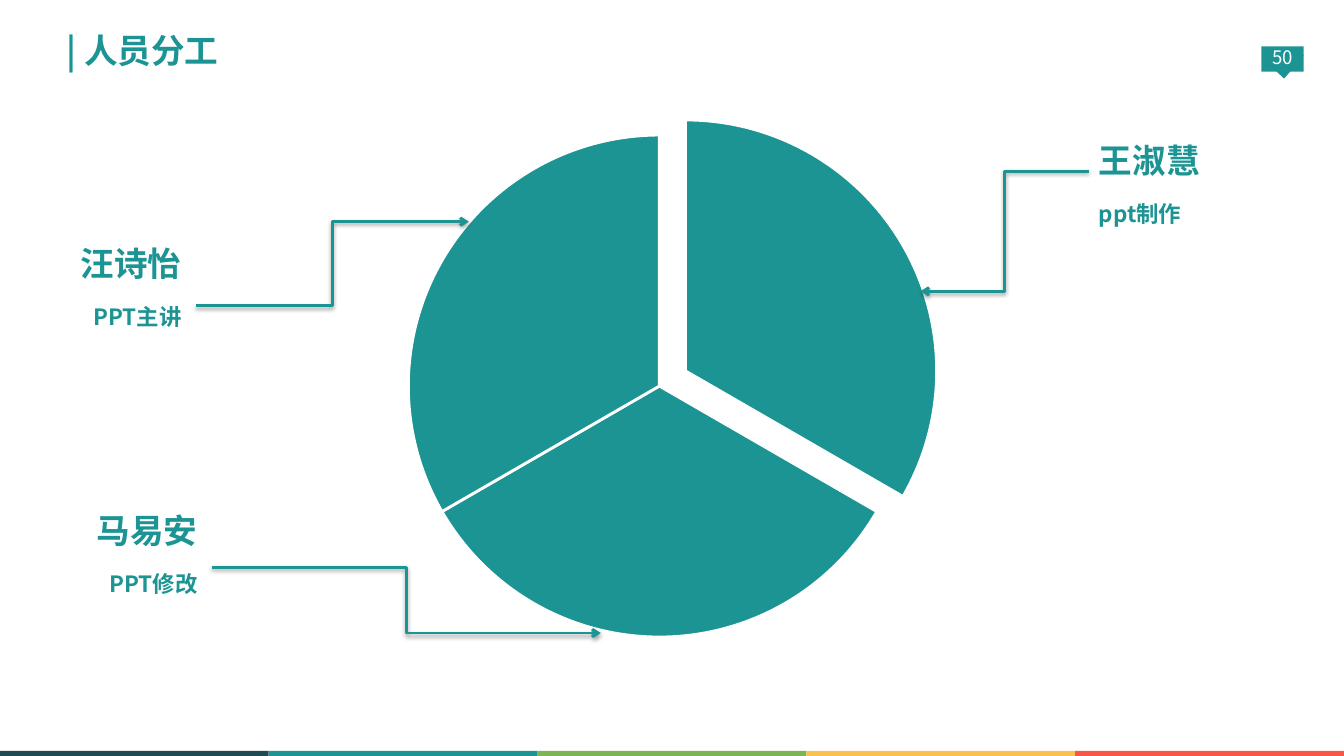
from lxml.etree import SubElement
from pptx import Presentation
from pptx.dml.color import RGBColor
from pptx.enum.shapes import MSO_CONNECTOR, MSO_SHAPE
from pptx.enum.text import MSO_ANCHOR, PP_ALIGN
from pptx.oxml.ns import qn
from pptx.util import Inches, Pt

FONT = "Noto Sans CJK SC"
TEAL = "1C9494"
WHITE = "FFFFFF"
STRIPES = ["1D4A53", TEAL, "7CB554", "FAC14D", "F95647"]


def color(fmt, value):
    fmt.rgb = RGBColor.from_string(value)


def add_block(slide, kind, box, fill, line=None):
    shape = slide.shapes.add_shape(kind, *map(Inches, box))
    shape.shadow.inherit = False
    shape.fill.solid()
    color(shape.fill.fore_color, fill)
    if line:
        color(shape.line.color, line)
        shape.line.width = Pt(2)
    else:
        shape.line.fill.background()
    return shape


def add_text(slide, box, lines, hue=TEAL, bold=True, align=PP_ALIGN.LEFT,
             anchor=MSO_ANCHOR.TOP, right=0.13, bottom=0, gap=0, spacing=0.9):
    """Add a text box; lines holds a (text, size) pair for each paragraph."""
    frame = slide.shapes.add_textbox(*map(Inches, box)).text_frame
    frame.word_wrap = True
    frame.vertical_anchor = anchor
    frame.margin_left = frame.margin_top = 0
    frame.margin_right = Inches(right)
    frame.margin_bottom = Inches(bottom)
    for index, (text, size) in enumerate(lines):
        para = frame.add_paragraph() if index else frame.paragraphs[0]
        para.alignment = align
        para.line_spacing = spacing
        if index:
            para.space_before = Pt(gap)
        run = para.add_run()
        run.text = text
        run.font.name = FONT
        run.font.size = Pt(size)
        run.font.bold = bold
        color(run.font.color, hue)
        SubElement(run._r.get_or_add_rPr(), qn("a:ea"), typeface=FONT)


def add_slice(slide, left, top, start, end):
    """Add a pie slice that runs clockwise between two angles in degrees."""
    pie = add_block(slide, MSO_SHAPE.PIE, (left, top, 4.98, 4.98), TEAL, WHITE)
    # Preset angles are 60000ths of a degree; adjustments are 100000ths.
    pie.adjustments[0] = start * 0.6
    pie.adjustments[1] = end * 0.6


def add_arrow(slide, start, end):
    arrow = slide.shapes.add_connector(
        MSO_CONNECTOR.ELBOW, *map(Inches, start + end))
    color(arrow.line.color, TEAL)
    arrow.line.width = Pt(2)
    SubElement(arrow.line._get_or_add_ln(), qn("a:tailEnd"), type="arrow")
    effects = SubElement(arrow._element.spPr, qn("a:effectLst"))
    shadow = SubElement(effects, qn("a:outerShdw"), blurRad="40000",
                        dist="20000", dir="5400000", rotWithShape="0")
    black = SubElement(shadow, qn("a:srgbClr"), val="000000")
    SubElement(black, qn("a:alpha"), val="38000")


def add_badge(slide):
    add_block(slide, MSO_SHAPE.RECTANGLE, (12.51, 0.46, 0.42, 0.25), TEAL)
    tip = add_block(slide, MSO_SHAPE.ISOSCELES_TRIANGLE,
                    (12.52, 0.56, 0.42, 0.22), TEAL)
    tip.rotation = 176.8
    add_text(slide, (12.53, 0.4, 0.38, 0.4), [("50", 13.3)], hue=WHITE,
             bold=False, align=PP_ALIGN.CENTER, anchor=MSO_ANCHOR.MIDDLE,
             right=0, bottom=0.07, spacing=1.0)


def add_stripes(slide):
    width = 13.33 / len(STRIPES)
    for index, fill in enumerate(STRIPES):
        add_block(slide, MSO_SHAPE.RECTANGLE,
                  (index * width, 7.45, width, 0.1), fill)


def main():
    deck = Presentation()
    deck.slide_width = Inches(13.33)
    deck.slide_height = Inches(7.5)
    slide = deck.slides.add_slide(deck.slide_layouts[6])

    add_badge(slide)
    add_stripes(slide)
    add_text(slide, (0.66, 0.34, 10.02, 0.54), [("| 人员分工", 24)])

    add_slice(slide, 4.31, 1.19, 270, 30)
    add_slice(slide, 4.05, 1.34, 30, 150)
    add_slice(slide, 4.05, 1.34, 150, 270)

    members = [
        ("王淑慧", "ppt制作", (10.9, 1.43), PP_ALIGN.LEFT,
         (10.8, 1.7), (9.13, 2.89)),
        ("汪诗怡", "PPT主讲", (0.2, 2.46), PP_ALIGN.RIGHT,
         (1.94, 3.03), (4.65, 2.2)),
        ("马易安", "PPT修改", (0.36, 5.1), PP_ALIGN.RIGHT,
         (2.1, 5.63), (5.96, 6.28)),
    ]
    for name, role, spot, align, start, end in members:
        add_arrow(slide, start, end)
        add_text(slide, spot + (1.73, 1.06), [(name, 24), (role, 16)],
                 align=align, gap=16)

    deck.save("out.pptx")


if __name__ == "__main__":
    main()
